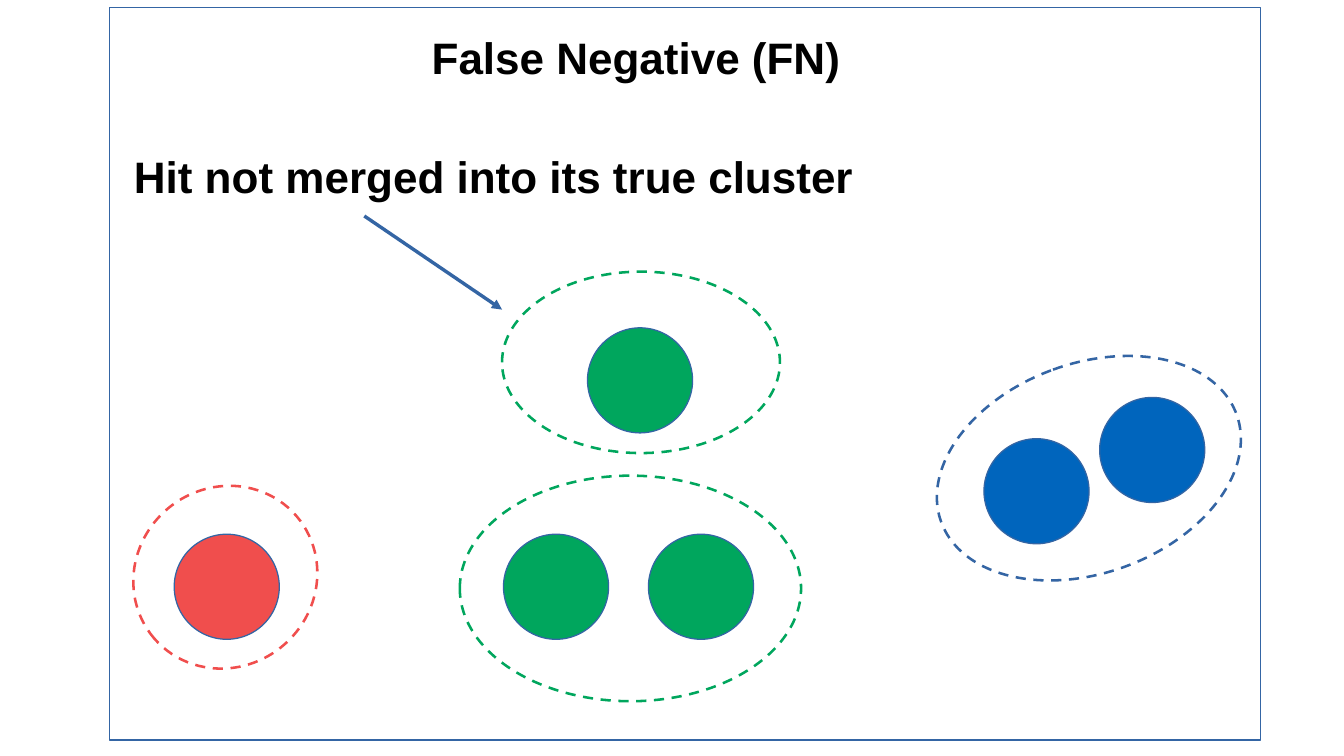
from dataclasses import dataclass

from lxml import etree
from pptx import Presentation
from pptx.dml.color import RGBColor
from pptx.enum.dml import MSO_LINE
from pptx.enum.shapes import MSO_CONNECTOR, MSO_SHAPE
from pptx.enum.text import MSO_ANCHOR, MSO_AUTO_SIZE, PP_ALIGN
from pptx.oxml.ns import qn
from pptx.util import Cm, Pt

RECTANGLE = MSO_SHAPE.RECTANGLE
OVAL = MSO_SHAPE.OVAL
STRAIGHT = MSO_CONNECTOR.STRAIGHT
DASH = MSO_LINE.DASH
TOP = MSO_ANCHOR.TOP
GROW = MSO_AUTO_SIZE.SHAPE_TO_FIT_TEXT
LEFT = PP_ALIGN.LEFT
CENTER = PP_ALIGN.CENTER


@dataclass(frozen=True)
class Theme:
    font: str = "Arial"
    text_size: int = 26
    hairline: float = 0
    ring_line: float = 1.5
    text: str = "000000"
    outline: str = "3465A4"
    red: str = "F04E4D"
    green: str = "00A65D"
    blue: str = "0065BD"


THEME = Theme()
TITLE_ONLY = 5
HIT_SIZE = 2.19


def rgb(value):
    return RGBColor.from_string(value)


def place(sp, left, top, width, height):
    sp.left, sp.top = Cm(left), Cm(top)
    sp.width, sp.height = Cm(width), Cm(height)


def write_text(sp, text, align=LEFT, size=THEME.text_size, bold=True, color=THEME.text):
    tf = sp.text_frame
    tf.word_wrap = True
    tf.auto_size = GROW
    tf.vertical_anchor = TOP
    p = tf.paragraphs[0]
    p.alignment = align
    r = p.add_run()
    r.text = text
    r.font.name = THEME.font
    r.font.size = Pt(size)
    r.font.bold = bold
    r.font.color.rgb = rgb(color)


def add_outline(s, kind, box, line=THEME.outline, width=THEME.hairline, fill=None):
    sp = s.shapes.add_shape(kind, *map(Cm, box))
    sp.shadow.inherit = False
    if fill:
        sp.fill.solid()
        sp.fill.fore_color.rgb = rgb(fill)
    else:
        sp.fill.background()
    sp.line.color.rgb = rgb(line)
    sp.line.width = Pt(width)
    return sp


def add_hit(s, left, top, color):
    add_outline(s, OVAL, (left, top, HIT_SIZE, HIT_SIZE), fill=color)


def add_cluster_ring(s, box, color, rotation=0):
    sp = add_outline(s, OVAL, box, line=color, width=THEME.ring_line)
    sp.line.dash_style = DASH
    sp.rotation = rotation


def add_arrow(s, start, end):
    sp = s.shapes.add_connector(STRAIGHT, *map(Cm, start + end))
    sp.line.color.rgb = rgb(THEME.outline)
    sp.line.width = Pt(THEME.hairline)
    etree.SubElement(sp.line._get_or_add_ln(), qn("a:tailEnd"), type="triangle")
    etree.SubElement(sp._element.spPr, qn("a:effectLst"))


def main():
    prs = Presentation()
    prs.slide_width, prs.slide_height = Cm(28), Cm(15.75)
    s = prs.slides.add_slide(prs.slide_layouts[TITLE_ONLY])

    title = s.shapes.title
    place(title, 5, 0.51, 16.51, 1.27)
    write_text(title, "False Negative (FN)", align=CENTER)

    add_outline(s, RECTANGLE, (2.29, 0.15, 23.98, 15.27))

    for left, top, color in (
        (3.63, 11.13, THEME.red),
        (10.49, 11.13, THEME.green),
        (13.51, 11.13, THEME.green),
        (12.24, 6.83, THEME.green),
        (20.5, 9.14, THEME.blue),
        (22.91, 8.28, THEME.blue),
    ):
        add_hit(s, left, top, color)

    for box, color, rotation in (
        ((20.5, 6.48, 4.37, 6.55), THEME.outline, 70),
        ((9.58, 9.91, 7.11, 4.7), THEME.green, 0),
        ((10.46, 5.66, 5.79, 3.78), THEME.green, 0),
        ((2.74, 10.16, 3.91, 3.73), THEME.red, 319.2),
    ):
        add_cluster_ring(s, box, color, rotation)

    caption = s.shapes.add_textbox(Cm(2.54), Cm(3), Cm(18.44), Cm(1.27))
    write_text(caption, "Hit not merged into its true cluster")
    add_arrow(s, (7.59, 4.5), (10.46, 6.45))

    prs.save("out.pptx")


if __name__ == "__main__":
    main()
